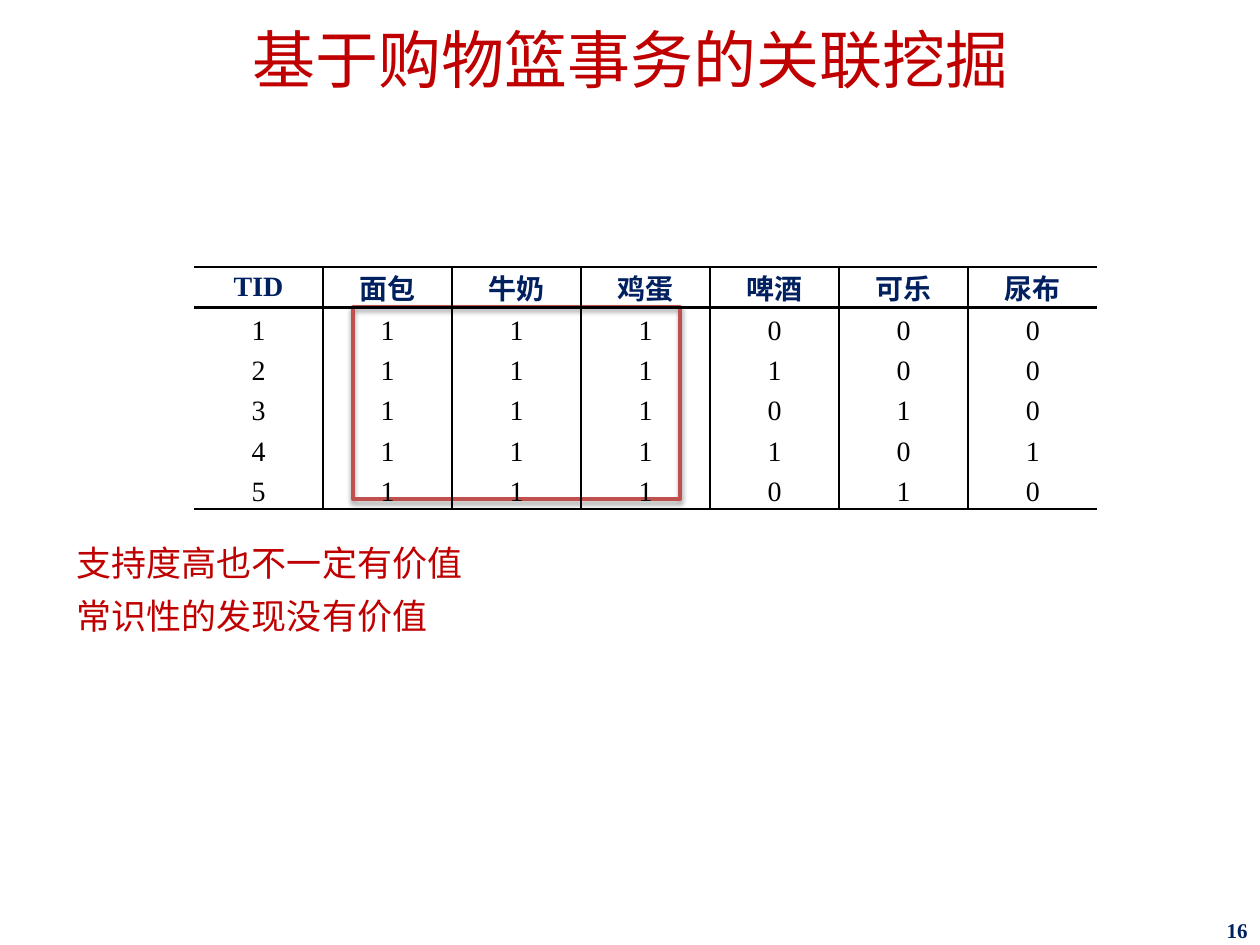
from lxml.etree import SubElement
from pptx import Presentation
from pptx.dml.color import RGBColor
from pptx.enum.shapes import MSO_SHAPE
from pptx.enum.text import MSO_ANCHOR, MSO_AUTO_SIZE, PP_ALIGN
from pptx.oxml import parse_xml
from pptx.oxml.ns import nsdecls, qn
from pptx.util import Inches, Pt

SERIF = "Times New Roman"
SANS = "Noto Sans CJK SC"
RED, NAVY, BLACK = "C00000", "002060", "000000"
NO_STYLE = "{2D5ABB26-0587-4C30-8999-92F81FD0307C}"
HEADERS = ["TID", "面包", "牛奶", "鸡蛋", "啤酒", "可乐", "尿布"]
BASKETS = ["111000", "111100", "111010", "111101", "111010"]


def rgb(value):
    return RGBColor.from_string(value)


def format_paragraph(p, size, color, name=SERIF, bold=False, align=None, spacing=None):
    p.alignment = align
    p.line_spacing = spacing
    font = p.font
    font.size, font.bold, font.name = Pt(size), bold, name
    font.color.rgb = rgb(color)
    SubElement(p._p.pPr.find(qn("a:defRPr")), qn("a:ea"), typeface=SANS)


def set_insets(tf, left, top, right, bottom):
    tf.margin_left, tf.margin_top = Inches(left), Inches(top)
    tf.margin_right, tf.margin_bottom = Inches(right), Inches(bottom)


def add_title(s, text):
    sp = s.shapes.title
    sp.left, sp.top, sp.width, sp.height = 0, 0, Inches(10), Inches(0.89)
    tf = sp.text_frame
    tf.text = text
    tf.vertical_anchor = MSO_ANCHOR.MIDDLE
    set_insets(tf, 0.1, 0.16, 0.1, 0.05)
    format_paragraph(tf.paragraphs[0], 36, RED, align=PP_ALIGN.CENTER, spacing=0.9)


def add_frame(s, left, top, width, height):
    sp = s.shapes.add_shape(MSO_SHAPE.RECTANGLE, Inches(left), Inches(top),
                            Inches(width), Inches(height))
    sp.fill.background()
    sp.line.color.rgb = rgb("C0504D")
    sp.line.width = Pt(2.25)
    sp.shadow.inherit = False
    effects = sp._element.spPr.find(qn("a:effectLst"))
    effects.append(parse_xml(
        f'<a:outerShdw {nsdecls("a")} blurRad="{Pt(3.1)}" dist="{Pt(1.6)}" dir="5400000" '
        f'rotWithShape="0"><a:srgbClr val="{BLACK}"><a:alpha val="38000"/></a:srgbClr>'
        '</a:outerShdw>'))


def set_borders(cell, **widths):
    tcPr = cell._tc.get_or_add_tcPr()
    for side in "LRTB":
        width = widths.get(side, 0)
        ln = SubElement(tcPr, qn(f"a:ln{side}"), w=str(Pt(width)))
        if width:
            fill = SubElement(ln, qn("a:solidFill"))
            SubElement(fill, qn("a:srgbClr"), val=BLACK)
        else:
            SubElement(ln, qn("a:noFill"))


def add_basket_table(s):
    rows = [HEADERS] + [[str(tid), *flags] for tid, flags in enumerate(BASKETS, 1)]
    last_row, last_col = len(rows) - 1, len(HEADERS) - 1
    frame = s.shapes.add_table(len(rows), len(HEADERS), Inches(1.54), Inches(2.12),
                               Inches(7.17), Inches(1.89))
    table = frame.table
    table._tbl.tblPr.find(qn("a:tableStyleId")).text = NO_STYLE
    table.horz_banding = False
    for col in table.columns:
        col.width = Inches(7.17 / len(HEADERS))
    for i, values in enumerate(rows):
        header = i == 0
        table.rows[i].height = Inches(0.27 if header else 0.32)
        for j, value in enumerate(values):
            cell = table.cell(i, j)
            cell.text = value
            cell.vertical_anchor = MSO_ANCHOR.MIDDLE
            set_insets(cell, 0.07, 0, 0.07, 0)
            format_paragraph(cell.text_frame.paragraphs[0], 16, NAVY if header else BLACK,
                             bold=header, align=PP_ALIGN.CENTER,
                             spacing=None if header else 1.2)
            set_borders(cell, L=1 if j > 0 else 0, R=1 if j < last_col else 0,
                        T=1.5 if i < 2 else 0,
                        B=1.5 if header else 1 if i == last_row else 0)
            cell.fill.background()


def add_text(s, text, left, top, width, height):
    box = s.shapes.add_textbox(Inches(left), Inches(top), Inches(width), Inches(height))
    tf = box.text_frame
    tf.text = text
    return tf


def add_remark(s, text, top, width):
    tf = add_text(s, text, 0.51, top, width, 0.44)
    tf.word_wrap = False
    tf.auto_size = MSO_AUTO_SIZE.SHAPE_TO_FIT_TEXT
    format_paragraph(tf.paragraphs[0], 20, RED, name=SANS)


def add_page_number(s, text):
    tf = add_text(s, text, 7.75, 7.28, 2.25, 0.22)
    tf.word_wrap = True
    tf.vertical_anchor = MSO_ANCHOR.MIDDLE
    set_insets(tf, 0.1, 0.04, 0.1, 0.05)
    format_paragraph(tf.paragraphs[0], 12, NAVY, bold=True, align=PP_ALIGN.RIGHT)


def main():
    prs = Presentation()
    prs.slide_width, prs.slide_height = Inches(10), Inches(7.5)
    s = prs.slides.add_slide(prs.slide_layouts[5])
    add_title(s, "基于购物篮事务的关联挖掘")
    add_frame(s, 2.8, 2.44, 2.6, 1.52)
    add_basket_table(s)
    add_remark(s, "支持度高也不一定有价值", 4.25, 3.29)
    add_remark(s, "常识性的发现没有价值", 4.67, 3.01)
    add_page_number(s, "16")
    prs.save("out.pptx")


if __name__ == "__main__":
    main()
